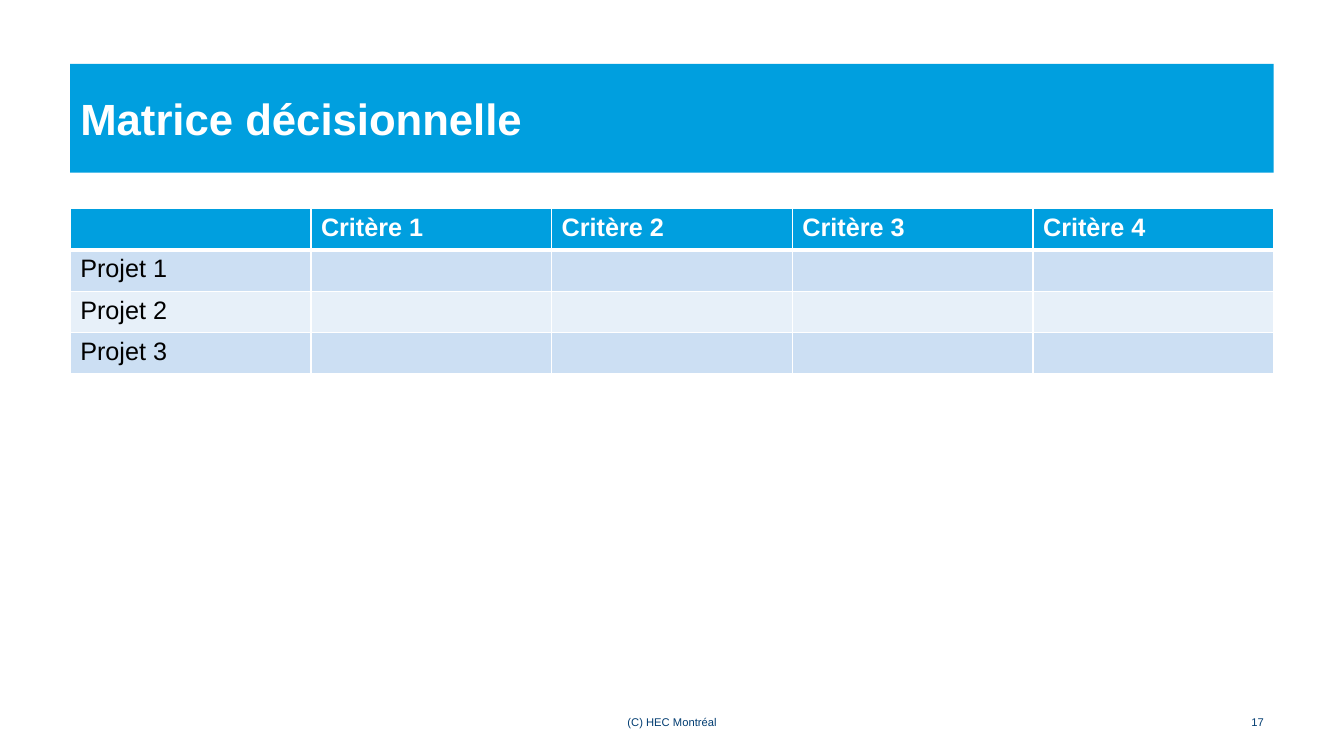
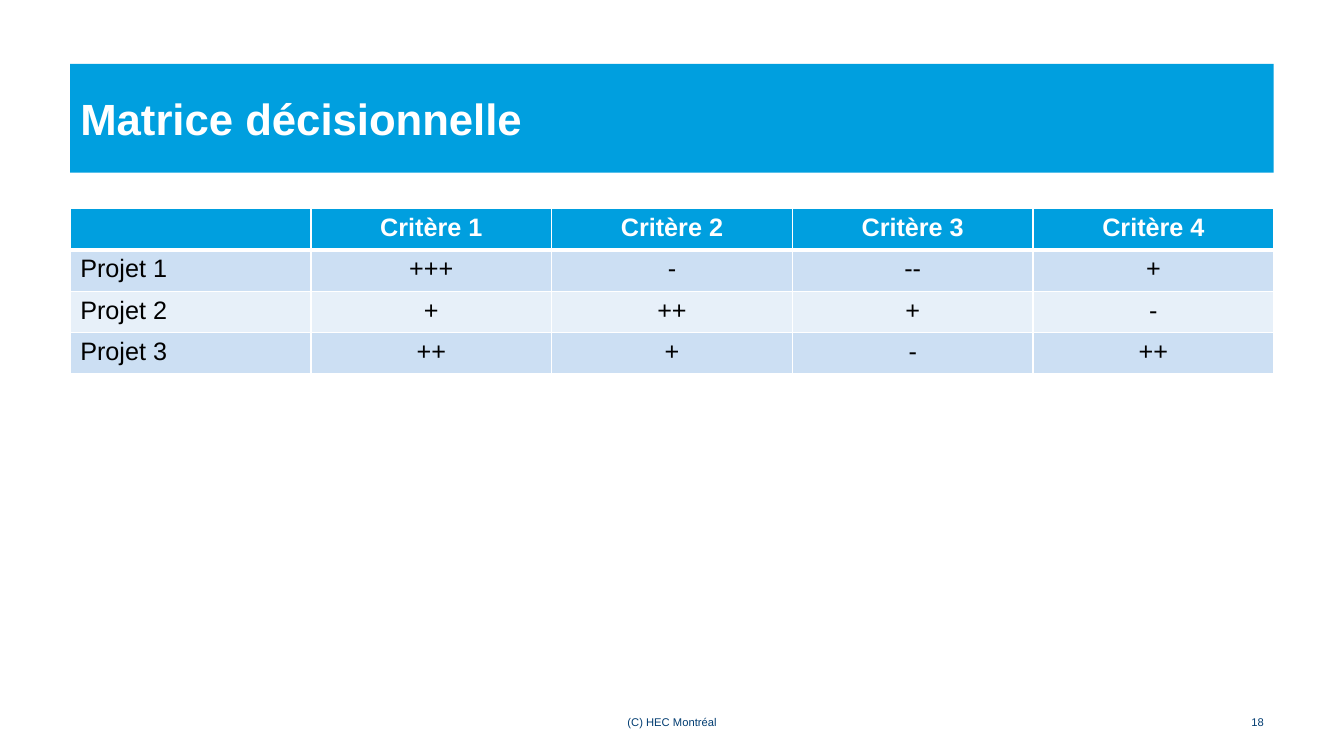
import pptx
import pptx.dml.color
import pptx.enum.text
import pptx.oxml
import pptx.oxml.ns
import pptx.util

Cm = pptx.util.Cm
Pt = pptx.util.Pt
RGBColor = pptx.dml.color.RGBColor
PP_ALIGN = pptx.enum.text.PP_ALIGN
MSO_ANCHOR = pptx.enum.text.MSO_ANCHOR

BLUE = RGBColor(0x00, 0x9F, 0xDF)
NAVY = RGBColor(0x00, 0x3C, 0x71)
WHITE = RGBColor(0xFF, 0xFF, 0xFF)
BLACK = RGBColor(0x00, 0x00, 0x00)
BAND_COLORS = [RGBColor(0xCC, 0xDF, 0xF3), RGBColor(0xE7, 0xF0, 0xF9)]
FONT = "Arial"

LEFT, WIDTH = Cm(1.77), Cm(30.33)
ROW_HEIGHT = Cm(1.04)
FOOTER_TOP, FOOTER_HEIGHT = Cm(17.96), Cm(0.46)
FIRST_PAGE = 17

HEADER = ["", "Critère 1", "Critère 2", "Critère 3", "Critère 4"]
PROJECTS = ["Projet 1", "Projet 2", "Projet 3"]
MATRICES = [
    (PP_ALIGN.LEFT, [[""] * 4] * 3),
    (PP_ALIGN.CENTER, [
        ["+++", "-", "--", "+"],
        ["+", "++", "+", "-"],
        ["++", "+", "-", "++"],
    ]),
]


def write_text(text_frame, text, size, color, alignment=PP_ALIGN.LEFT, bold=False):
    paragraph = text_frame.paragraphs[0]
    paragraph.alignment = alignment
    run = paragraph.add_run()
    run.text = text
    run.font.name = FONT
    run.font.size = Pt(size)
    run.font.bold = bold
    run.font.color.rgb = color


def set_borders(cell, top, bottom):
    """Draw white borders, 1 pt at the sides; top and bottom widths in points."""
    properties = cell._tc.get_or_add_tcPr()
    for side, width in [("L", 1), ("R", 1), ("T", top), ("B", bottom)]:
        properties.append(pptx.oxml.parse_xml(
            f'<a:ln{side} {pptx.oxml.ns.nsdecls("a")} w="{Pt(width)}">'
            f'<a:solidFill><a:srgbClr val="{WHITE}"/></a:solidFill></a:ln{side}>'
        ))


presentation = pptx.Presentation()
presentation.slide_width = Cm(33.87)
presentation.slide_height = Cm(19.05)
title_only = presentation.slide_layouts[5]

for page, (alignment, ratings) in enumerate(MATRICES, start=FIRST_PAGE):
    slide = presentation.slides.add_slide(title_only)

    title = slide.shapes.title
    title.left, title.top, title.width, title.height = LEFT, Cm(1.61), WIDTH, Cm(2.74)
    title.fill.solid()
    title.fill.fore_color.rgb = BLUE
    title.text_frame.auto_size = pptx.enum.text.MSO_AUTO_SIZE.NONE
    title.text_frame.vertical_anchor = MSO_ANCHOR.MIDDLE
    write_text(title.text_frame, "Matrice décisionnelle", 31.2, WHITE, bold=True)

    rows = [HEADER] + [[project] + marks for project, marks in zip(PROJECTS, ratings)]
    table = slide.shapes.add_table(
        len(rows), len(HEADER), LEFT, Cm(5.26), WIDTH, ROW_HEIGHT * len(rows)
    ).table
    table.horz_banding = False
    for row_index, row in enumerate(rows):
        is_header = row_index == 0
        for column_index, text in enumerate(row):
            cell = table.cell(row_index, column_index)
            set_borders(cell, top=3 if row_index == 1 else 1, bottom=3 if is_header else 1)
            cell.fill.solid()
            cell.fill.fore_color.rgb = BLUE if is_header else BAND_COLORS[(row_index - 1) % 2]
            if text:
                write_text(
                    cell.text_frame, text, 18,
                    WHITE if is_header else BLACK,
                    alignment if column_index else PP_ALIGN.LEFT,
                    bold=is_header,
                )

    for left, width, text, footer_alignment in [
        (Cm(11.58), Cm(10.72), "(C) HEC Montréal", PP_ALIGN.CENTER),
        (Cm(30.37), Cm(1.73), str(page), PP_ALIGN.RIGHT),
    ]:
        footer = slide.shapes.add_textbox(left, FOOTER_TOP, width, FOOTER_HEIGHT).text_frame
        footer.word_wrap = True
        footer.vertical_anchor = MSO_ANCHOR.MIDDLE
        footer.margin_top = footer.margin_bottom = 0
        write_text(footer, text, 8, NAVY, footer_alignment)

presentation.save("out.pptx")
